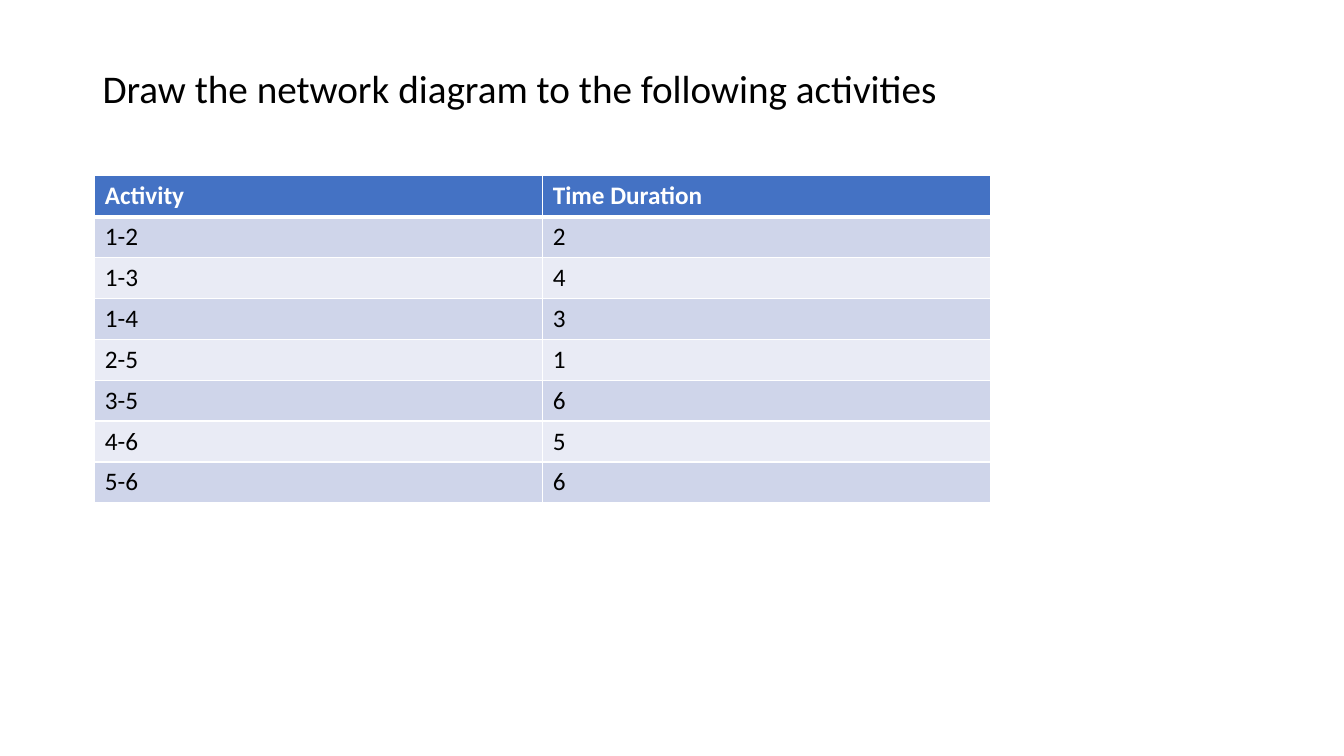
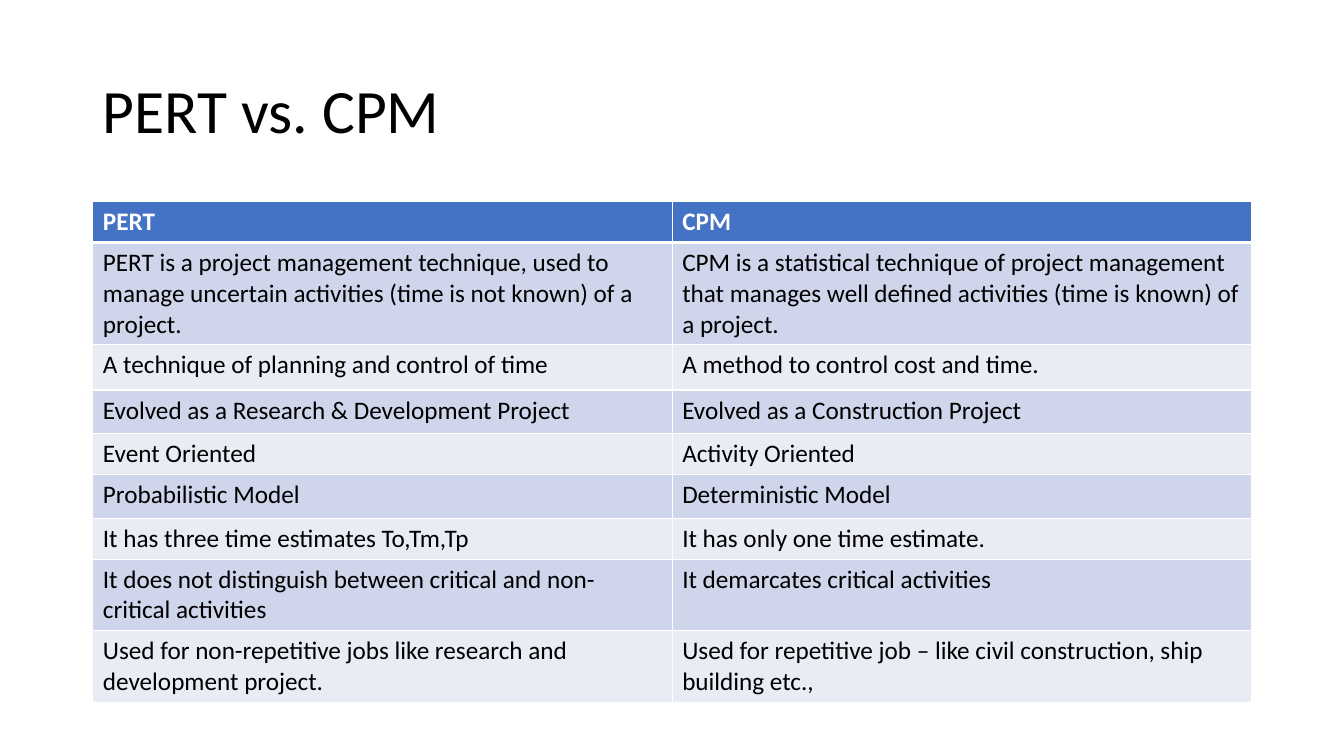
from lxml import etree
from pptx import Presentation
from pptx.dml.color import RGBColor
from pptx.enum.text import MSO_ANCHOR, MSO_AUTO_SIZE, PP_ALIGN
from pptx.oxml.ns import qn
from pptx.util import Cm, Pt

LEFT_ALIGNED = PP_ALIGN.LEFT
TOP, MIDDLE = MSO_ANCHOR.TOP, MSO_ANCHOR.MIDDLE
NO_AUTOFIT = MSO_AUTO_SIZE.NONE

FONT = "Calibri"
BLACK, WHITE, HEADER_BLUE = "000000", "FFFFFF", "4472C4"
BANDS = ("CFD5EA", "E9EBF5")
TITLE_ONLY_LAYOUT = 5
TITLE_LEFT, TITLE_WIDTH = 2.33, 29.21
THIN, THICK = 1, 3
LINE = 1.03  # height of a one-line row in cm

SLIDES = [
    {
        "title": "Draw the network diagram to the following activities",
        "title_top": 1.62, "title_height": 1.6, "title_size": 28, "title_anchor": TOP,
        "table_left": 2.39, "table_top": 4.43, "column_width": 11.29,
        "row_heights": [LINE] * 8,
        "rows": [
            ("Activity", "Time Duration"),
            ("1-2", "2"),
            ("1-3", "4"),
            ("1-4", "3"),
            ("2-5", "1"),
            ("3-5", "6"),
            ("4-6", "5"),
            ("5-6", "6"),
        ],
    },
    {
        "title": "PERT vs. CPM",
        "title_top": 1.01, "title_height": 3.68, "title_size": 44, "title_anchor": MIDDLE,
        "table_left": 2.34, "table_top": 5.08, "column_width": 14.6,
        "row_heights": [LINE, 2.57, 1.14, 1.1, LINE, 1.1, LINE, 1.8, 1.8],
        "rows": [
            ("PERT", "CPM"),
            ("PERT is a project management technique, used to manage uncertain activities "
             "(time is not known) of a project.",
             "CPM is a statistical technique of project management that manages well defined "
             "activities (time is known) of a project."),
            ("A technique of planning and control of time", "A method to control cost and time."),
            ("Evolved as a Research & Development Project", "Evolved as a Construction Project"),
            ("Event Oriented", "Activity Oriented"),
            ("Probabilistic Model", "Deterministic Model"),
            ("It has three time estimates To,Tm,Tp", "It has only one time estimate."),
            ("It does not distinguish between critical and non-critical activities",
             "It demarcates critical activities"),
            ("Used for non-repetitive jobs like research and development project.",
             "Used for repetitive job – like civil construction, ship building etc.,"),
        ],
    },
]


def rgb(color):
    return RGBColor.from_string(color)


def set_font(paragraph, size, color, bold=False):
    font = paragraph.font
    font.name, font.size, font.bold = FONT, Pt(size), bold
    font.color.rgb = rgb(color)


def add_title(slide, content):
    title = slide.shapes.title
    title.left, title.width = Cm(TITLE_LEFT), Cm(TITLE_WIDTH)
    title.top, title.height = Cm(content["title_top"]), Cm(content["title_height"])
    frame = title.text_frame
    frame.text = content["title"]
    frame.word_wrap = True
    frame.auto_size = NO_AUTOFIT
    frame.vertical_anchor = content["title_anchor"]
    paragraph = frame.paragraphs[0]
    paragraph.alignment = LEFT_ALIGNED
    paragraph.line_spacing = 0.9
    set_font(paragraph, content["title_size"], BLACK)


def set_borders(cell, top, bottom):
    """Draw white cell borders; call before filling, as the schema puts lines first."""
    properties = cell._tc.get_or_add_tcPr()
    for side, width in (("L", THIN), ("R", THIN), ("T", top), ("B", bottom)):
        line = etree.SubElement(properties, qn(f"a:ln{side}"), w=str(Pt(width)))
        fill = etree.SubElement(line, qn("a:solidFill"))
        etree.SubElement(fill, qn("a:srgbClr"), val=WHITE)


def format_cell(cell, text, row_index):
    is_header = row_index == 0
    set_borders(cell, THICK if row_index == 1 else THIN, THICK if is_header else THIN)
    cell.fill.solid()
    cell.fill.fore_color.rgb = rgb(HEADER_BLUE if is_header else BANDS[(row_index - 1) % 2])
    cell.text = text
    set_font(cell.text_frame.paragraphs[0], 18, WHITE if is_header else BLACK, is_header)


def add_table(slide, content):
    rows, heights = content["rows"], content["row_heights"]
    column_count = len(rows[0])
    table = slide.shapes.add_table(
        len(rows), column_count, Cm(content["table_left"]), Cm(content["table_top"]),
        Cm(content["column_width"] * column_count), Cm(sum(heights))).table
    for column in table.columns:
        column.width = Cm(content["column_width"])
    for row_index, (texts, height) in enumerate(zip(rows, heights)):
        table.rows[row_index].height = Cm(height)
        for column_index, text in enumerate(texts):
            format_cell(table.cell(row_index, column_index), text, row_index)


def main():
    presentation = Presentation()
    presentation.slide_width, presentation.slide_height = Cm(33.87), Cm(19.05)
    layout = presentation.slide_layouts[TITLE_ONLY_LAYOUT]
    for content in SLIDES:
        slide = presentation.slides.add_slide(layout)
        add_title(slide, content)
        add_table(slide, content)
    presentation.save("out.pptx")


if __name__ == "__main__":
    main()
